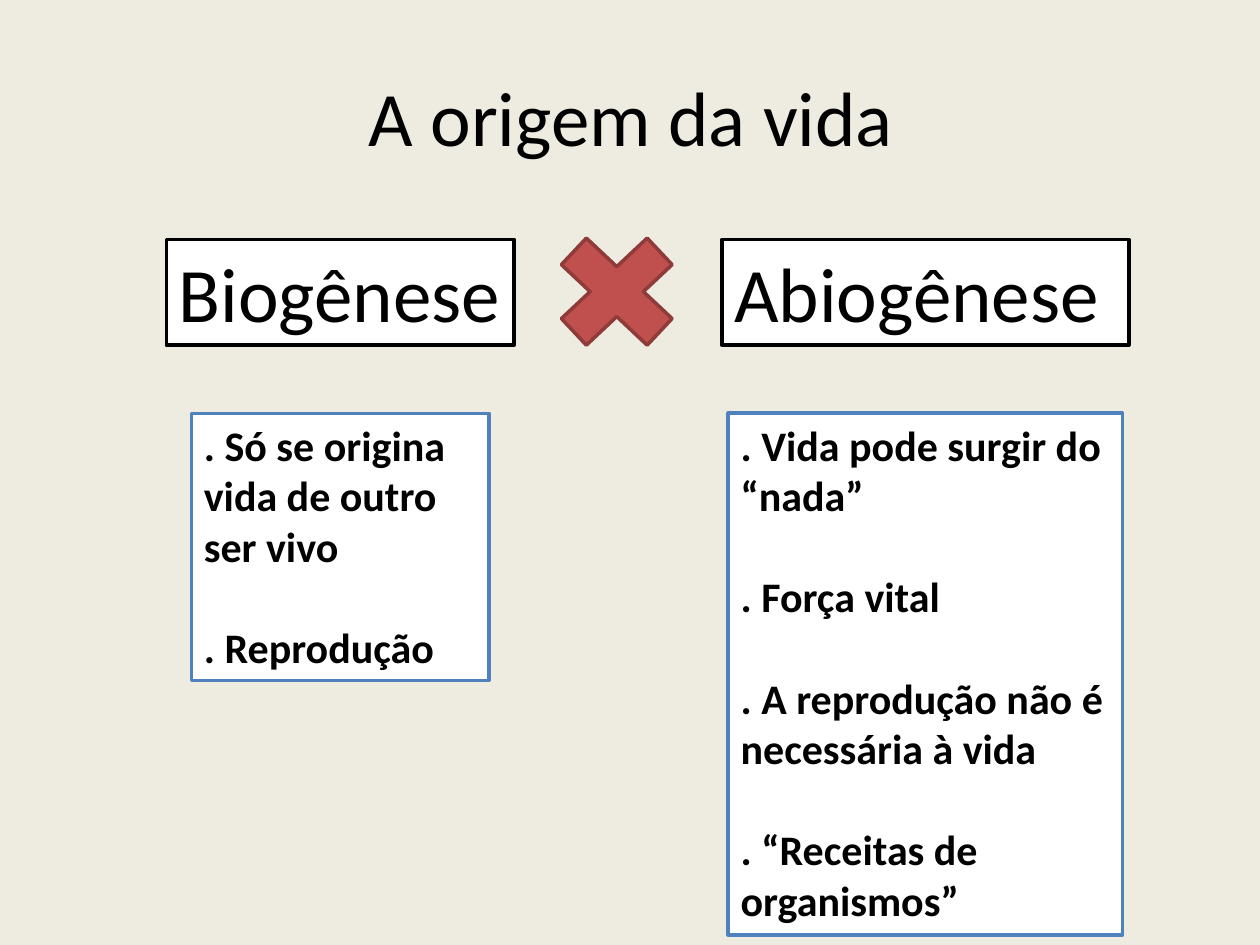
"""Build a slide that contrasts biogenesis with abiogenesis."""
from pptx import Presentation
from pptx import util as u
from pptx.dml import color
from pptx.enum import shapes, text

COLORS = {
    "background": "EEECE1",
    "panel": "FFFFFF",
    "ink": "000000",
    "blue": "4F81BD",
    "red": "C0504D",
    "dark_red": "8E3B39",
}
HEADING = {"name": "Calibri", "size": u.Pt(44), "bold": False}
BODY = {"name": "Calibri", "size": u.Pt(24), "bold": True}
HEADING_TOP, HEADING_HEIGHT, BODY_TOP = 1.9, 0.84, 3.28

THEORIES = [
    {
        "name": "Biogênese",
        "heading": (1.32, 2.76),
        "body": (1.52, 2.36, 2.12),
        "claims": [". Só se origina vida de outro ser vivo", ". Reprodução"],
    },
    {
        "name": "Abiogênese",
        "heading": (5.73, 3.23),
        "body": (5.78, 3.13, 4.14),
        "claims": [
            ". Vida pode surgir do “nada”",
            ". Força vital",
            ". A reprodução não é necessária à vida",
            ". “Receitas de organismos”",
        ],
    },
]


def rgb(name):
    """Return the named colour."""
    return color.RGBColor.from_string(COLORS[name])


def write(frame, lines, style, align, anchor):
    """Write one paragraph per line, a blank line's height apart."""
    frame.word_wrap = True
    frame.vertical_anchor = anchor
    for index, line in enumerate(lines):
        paragraph = frame.paragraphs[0] if index == 0 else frame.add_paragraph()
        paragraph.alignment = align
        if index:
            paragraph.space_before = u.Pt(29)
        run = paragraph.add_run()
        run.text = line
        for attribute, value in style.items():
            setattr(run.font, attribute, value)
        run.font.color.rgb = rgb("ink")


def add_title(slide, title):
    """Add the centred slide title."""
    box = slide.shapes.add_textbox(*map(u.Inches, (0.51, 0.29, 9, 1.25)))
    write(box.text_frame, [title], HEADING,
          text.PP_ALIGN.CENTER, text.MSO_ANCHOR.MIDDLE)


def add_outlined(slide, preset, bounds, fill, line):
    """Add a filled preset shape with a 2 pt outline."""
    shape = slide.shapes.add_shape(preset, *map(u.Inches, bounds))
    shape.shadow.inherit = False
    shape.fill.solid()
    shape.fill.fore_color.rgb = rgb(fill)
    shape.line.color.rgb = rgb(line)
    shape.line.width = u.Pt(2)
    return shape


def add_panel(slide, bounds, lines, style, line):
    """Add a white panel holding left-aligned text."""
    panel = add_outlined(slide, shapes.MSO_SHAPE.RECTANGLE, bounds, "panel", line)
    write(panel.text_frame, lines, style,
          text.PP_ALIGN.LEFT, text.MSO_ANCHOR.TOP)
    panel.text_frame.auto_size = text.MSO_AUTO_SIZE.SHAPE_TO_FIT_TEXT


def add_theory(slide, theory):
    """Add a theory's name with its claims below."""
    left, width = theory["heading"]
    add_panel(slide, (left, HEADING_TOP, width, HEADING_HEIGHT),
              [theory["name"]], HEADING, "ink")
    left, width, height = theory["body"]
    add_panel(slide, (left, BODY_TOP, width, height),
              theory["claims"], BODY, "blue")


def main():
    """Build and save the slide."""
    deck = Presentation()
    deck.slide_width, deck.slide_height = u.Inches(10), u.Inches(7.5)
    slide = deck.slides.add_slide(deck.slide_layouts[6])
    slide.background.fill.solid()
    slide.background.fill.fore_color.rgb = rgb("background")
    add_title(slide, "A origem da vida")
    for theory in THEORIES:
        add_theory(slide, theory)
    add_outlined(slide, shapes.MSO_SHAPE.MATH_MULTIPLY,
                 (4.24, 1.7, 1.31, 1.23), "red", "dark_red")
    deck.save("out.pptx")


if __name__ == "__main__":
    main()
